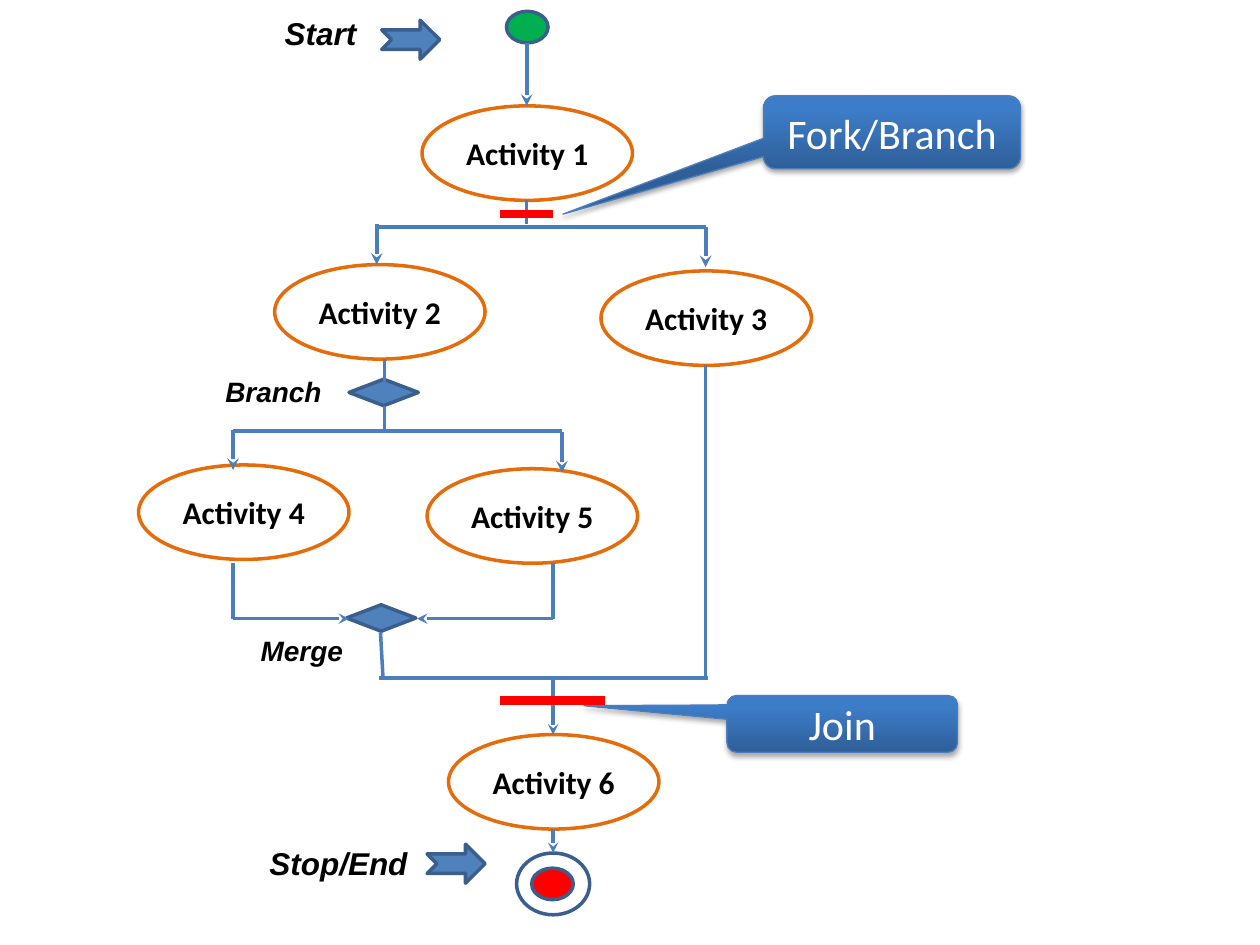
from lxml import etree
from pptx import Presentation
from pptx.dml.color import RGBColor
from pptx.enum.shapes import MSO_CONNECTOR, MSO_SHAPE
from pptx.enum.text import MSO_ANCHOR, MSO_AUTO_SIZE, PP_ALIGN
from pptx.oxml import parse_xml
from pptx.oxml.ns import nsdecls, qn
from pptx.util import Inches, Pt

OVAL = MSO_SHAPE.OVAL
DIAMOND = MSO_SHAPE.DIAMOND
NOTCHED_ARROW = MSO_SHAPE.NOTCHED_RIGHT_ARROW
CALLOUT = MSO_SHAPE.ROUNDED_RECTANGULAR_CALLOUT
STRAIGHT = MSO_CONNECTOR.STRAIGHT
MIDDLE = MSO_ANCHOR.MIDDLE
CENTER = PP_ALIGN.CENTER
FIT_SHAPE = MSO_AUTO_SIZE.SHAPE_TO_FIT_TEXT

WHITE = RGBColor(0xFF, 0xFF, 0xFF)
BLACK = RGBColor(0, 0, 0)
RED = RGBColor(0xFF, 0, 0)
GREEN = RGBColor(0, 0xB0, 0x50)
ORANGE = RGBColor(0xE4, 0x6C, 0x0A)
BLUE = RGBColor(0x4F, 0x81, 0xBD)
LINE_BLUE = RGBColor(0x4B, 0x7E, 0xBC)
EDGE_BLUE = RGBColor(0x3A, 0x5F, 0x8C)
DEEP_BLUE = RGBColor(0x2F, 0x5F, 0x99)
BRIGHT_BLUE = RGBColor(0x3D, 0x7C, 0xC7)

deck = Presentation()
deck.slide_width = Inches(10)
deck.slide_height = Inches(7.5)
page = deck.slides.add_slide(deck.slide_layouts[6])


def add_node(kind, left, top, width, height, fill, edge, weight=2):
    node = page.shapes.add_shape(
        kind, Inches(left), Inches(top), Inches(width), Inches(height))
    if fill is None:
        node.fill.background()
    else:
        node.fill.solid()
        node.fill.fore_color.rgb = fill
    node.line.color.rgb = edge
    node.line.width = Pt(weight)
    node.shadow.inherit = False
    return node


def write(box, text, font, size, color, bold=False, italic=False):
    para = box.text_frame.paragraphs[0]
    span = para.add_run()
    span.text = text
    span.font.name = font
    span.font.size = Pt(size)
    span.font.color.rgb = color
    span.font.bold = bold
    span.font.italic = italic
    return para


callouts = [
    ("Fork/Branch", 6.06, 0.76, 2.04, 0.58, -1.28, 1.12),
    ("Join", 5.77, 5.52, 1.83, 0.45, -1.12, -0.32),
]
for text, left, top, width, height, tip_x, tip_y in callouts:
    callout = add_node(CALLOUT, left, top, width, height, BLUE, LINE_BLUE, 0.75)
    callout.adjustments[0] = tip_x
    callout.adjustments[1] = tip_y
    callout.fill.gradient()
    callout.fill.gradient_angle = 90
    stops = callout.fill.gradient_stops
    for stop, position, color in zip(stops, (0, 0.8), (DEEP_BLUE, BRIGHT_BLUE)):
        stop.position = position
        stop.color.rgb = color
    effects = callout._element.spPr.find(qn("a:effectLst"))
    effects.append(parse_xml(
        f'<a:outerShdw {nsdecls("a")} blurRad="{Pt(3.1)}" dist="{Pt(1.8)}" '
        'dir="5400000" rotWithShape="0"><a:srgbClr val="000000">'
        '<a:alpha val="35000"/></a:srgbClr></a:outerShdw>'))
    callout.text_frame.vertical_anchor = MIDDLE
    write(callout, text, "Calibri", 24, WHITE).alignment = CENTER

activities = [(3.35, 0.84), (2.18, 2.1), (4.77, 2.15),
              (1.1, 3.69), (3.39, 3.72), (3.56, 5.83)]
for number, (left, top) in enumerate(activities, 1):
    activity = add_node(OVAL, left, top, 1.67, 0.75, None, ORANGE)
    frame = activity.text_frame
    frame.margin_left = frame.margin_right = 0
    frame.margin_top = frame.margin_bottom = 0
    frame.vertical_anchor = MIDDLE
    write(activity, f"Activity {number}", "Calibri", 18, BLACK, True).alignment = CENTER

symbols = [
    (OVAL, 4.02, 0.09, 0.33, 0.25, GREEN),
    (OVAL, 4.1, 6.77, 0.58, 0.49, None),
    (OVAL, 4.22, 6.89, 0.33, 0.25, RED),
    (DIAMOND, 2.77, 3.01, 0.55, 0.21, BLUE),
    (DIAMOND, 2.75, 4.8, 0.55, 0.21, BLUE),
    (NOTCHED_ARROW, 3.03, 0.16, 0.46, 0.31, BLUE),
    (NOTCHED_ARROW, 3.39, 6.7, 0.46, 0.31, BLUE),
]
for kind, left, top, width, height, fill in symbols:
    add_node(kind, left, top, width, height, fill, EDGE_BLUE)

plain_lines = [
    (2.98, 1.8, 5.6, 1.8), (4.18, 1.59, 4.18, 1.78),
    (1.85, 3.42, 4.46, 3.42), (3.05, 3.22, 3.05, 3.41),
    (3.05, 2.85, 3.05, 3.05), (1.85, 4.47, 1.85, 4.91),
    (4.39, 4.47, 4.39, 4.91), (3.02, 5.02, 3.04, 5.38),
    (3.01, 5.38, 5.62, 5.38), (5.6, 5.38, 5.6, 2.9),
]
thick_arrows = [
    (4.18, 0.34, 4.18, 0.84), (5.6, 1.8, 5.6, 2.12), (2.99, 1.78, 2.99, 2.1),
    (4.46, 3.43, 4.46, 3.75), (1.85, 3.41, 1.85, 3.73),
]
thin_arrows = [
    (4.39, 4.91, 3.31, 4.91), (1.85, 4.91, 2.77, 4.91),
    (4.39, 5.38, 4.39, 5.83), (4.39, 6.58, 4.39, 6.77),
]
bars = [(4.39, 1.7, 3.97, 1.7), (4.8, 5.56, 3.97, 5.56)]
line_groups = [
    (plain_lines, LINE_BLUE, 2, False),
    (thick_arrows, LINE_BLUE, 2.25, True),
    (thin_arrows, LINE_BLUE, 2, True),
    (bars, RED, 4.75, False),
]
for lines, color, weight, arrow in line_groups:
    for ends in lines:
        link = page.shapes.add_connector(STRAIGHT, *[Inches(end) for end in ends])
        link.line.color.rgb = color
        link.line.width = Pt(weight)
        if arrow:
            tip = etree.SubElement(link.line._get_or_add_ln(), qn("a:tailEnd"))
            tip.set("type", "stealth")
        etree.SubElement(link._element.spPr, qn("a:effectLst"))

labels = [
    ("Branch", 1.69, 2.92, 1.8, 0.37, 16),
    ("Merge", 1.97, 4.98, 0.99, 0.37, 16),
    ("Start", 2.16, 0.06, 0.99, 0.4, 18),
    ("Stop/End", 2.04, 6.65, 1.33, 0.4, 18),
]
for text, left, top, width, height, size in labels:
    label = page.shapes.add_textbox(
        Inches(left), Inches(top), Inches(width), Inches(height))
    label.text_frame.word_wrap = True
    label.text_frame.auto_size = FIT_SHAPE
    write(label, text, "Arial", size, BLACK, True, True)

deck.save("out.pptx")
